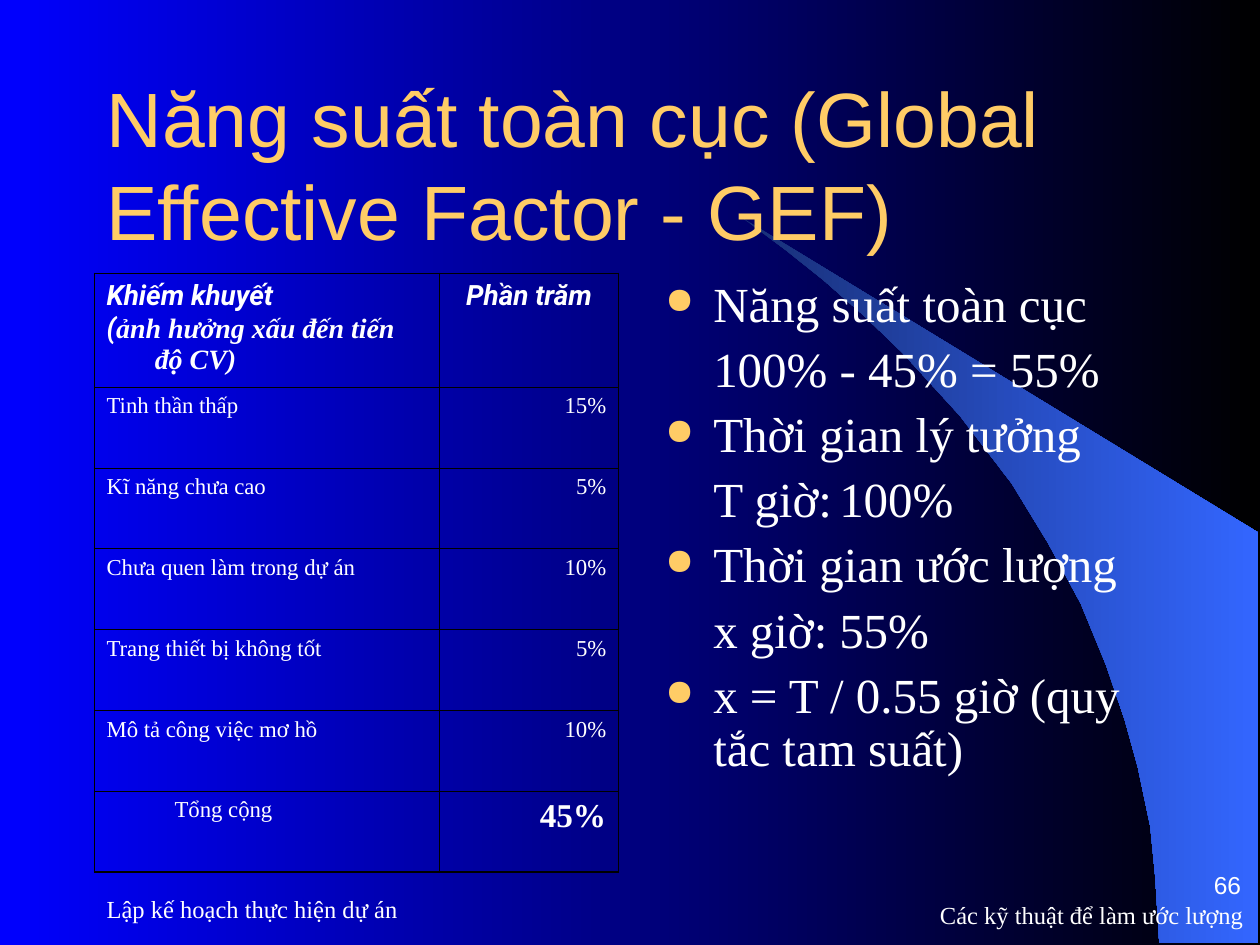
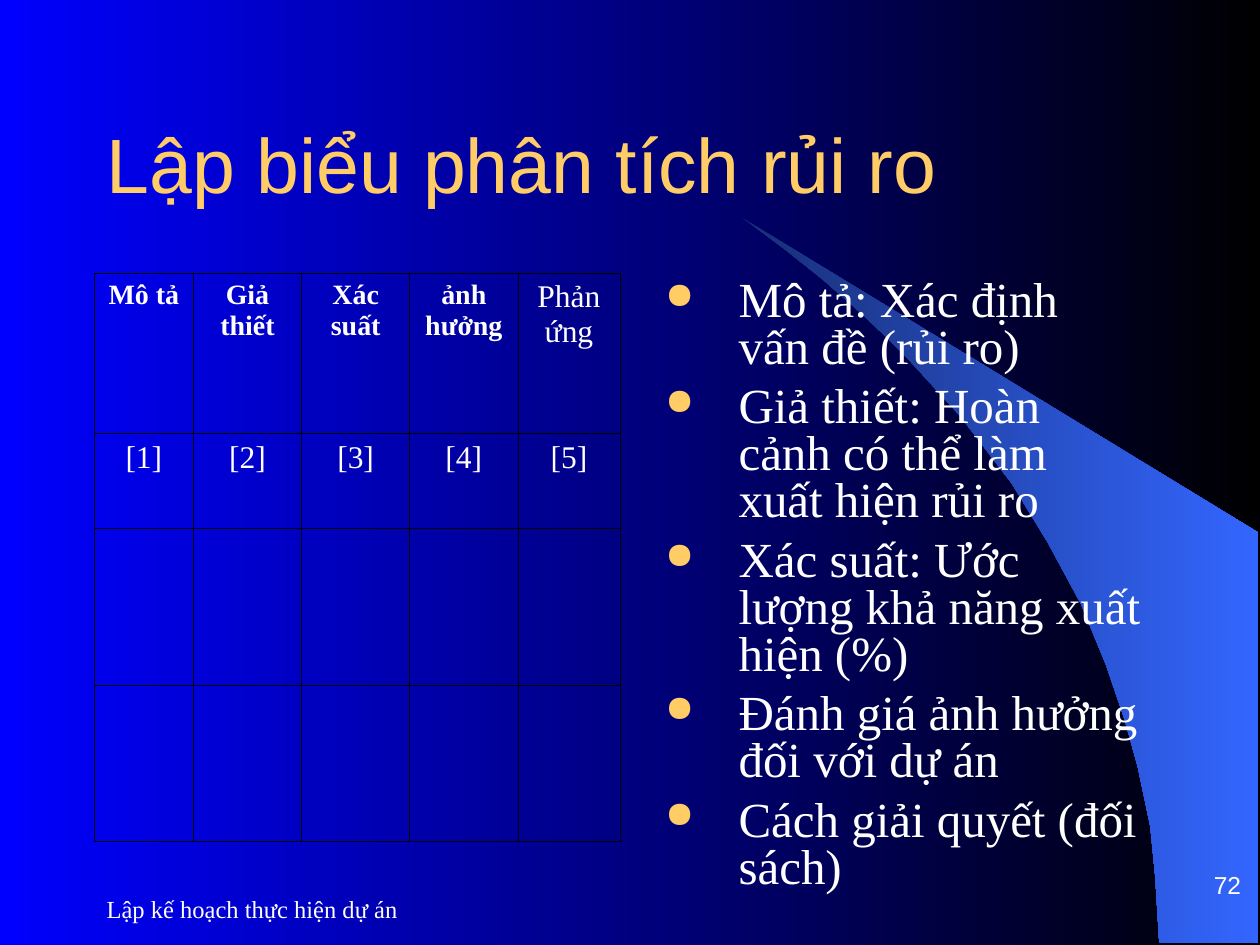
from dataclasses import dataclass
from typing import NamedTuple

from lxml import etree
from pptx import Presentation
from pptx.dml import color
from pptx.enum import text
from pptx.oxml import ns
from pptx.util import Cm, Pt

RGBColor = color.RGBColor
BLUE = RGBColor(0x00, 0x00, 0xFF)
BLACK = RGBColor(0x00, 0x00, 0x00)
NAVY = RGBColor(0x18, 0x2F, 0x76)
AZURE = RGBColor(0x33, 0x66, 0xFF)
GOLD = RGBColor(0xFF, 0xCC, 0x66)
WHITE = RGBColor(0xFF, 0xFF, 0xFF)

SERIF, SANS, HEADER_FONT = "Times New Roman", "Arial", "Roboto"
LEFT, CENTER, RIGHT = text.PP_ALIGN.LEFT, text.PP_ALIGN.CENTER, text.PP_ALIGN.RIGHT
TOP, MIDDLE, BOTTOM = text.MSO_ANCHOR.TOP, text.MSO_ANCHOR.MIDDLE, text.MSO_ANCHOR.BOTTOM
THIN, THICK = Pt(0.45), Pt(0.96)
HANG = 0.97

SWOOSH = [
    (23.37, 19.0), (25.37, 19.02), (25.37, 10.74), (14.96, 4.39), (15.85, 5.05), (16.59, 5.64),
    (17.4, 6.35), (18.19, 7.11), (19.35, 8.38), (20.4, 9.75), (21.13, 10.95), (21.79, 12.17),
    (22.3, 13.41), (22.68, 14.53), (22.94, 15.47), (23.19, 16.66), (23.29, 17.68),
]


class Run(NamedTuple):
    text: str
    size: float = 13
    font: str = SERIF
    bold: bool = False
    italic: bool = False
    color: RGBColor = WHITE


@dataclass(frozen=True)
class Para:
    runs: tuple[Run, ...]
    align: text.PP_ALIGN = LEFT
    left: float = 0
    hang: float = 0
    bullet: bool = False
    tab: float = 0
    spacing: float = 1
    before: float = 0


@dataclass(frozen=True)
class Box:
    left: float
    top: float
    width: float
    height: float
    anchor: text.MSO_ANCHOR = MIDDLE
    inset_x: float = 0.25
    inset_y: float = 0.13


@dataclass(frozen=True)
class Grid:
    cols: tuple[float, ...]
    rows: tuple[float, ...]
    cells: list[list[tuple[Para, ...]]]
    outer: Pt


TITLE = Box(1.9, 1.7, 22.45, 3.18)
FOOTER_LEFT = Box(1.9, 17.68, 11.86, 1.27)
FOOTER_RIGHT = Box(17.7, 17.91, 7.62, 1.07)
PAGE_NUMBER = Box(17.65, 17.07, 7.62, 1.07, BOTTOM, 0.25, 0)
BODY = Box(12.9, 5.51, 10.6, 11.43, TOP, 0.51)


def add_element(parent, tag: str, **attrs: str):
    return etree.SubElement(parent, ns.qn(tag), attrs)


def set_gradient(fill, start: RGBColor, end: RGBColor) -> None:
    fill.gradient()
    fill.gradient_angle = 0
    for stop, rgb in zip(fill.gradient_stops, (start, end)):
        stop.color.rgb = rgb


def write_paras(tf, paras: tuple[Para, ...]) -> None:
    for i, para in enumerate(paras):
        p = tf.paragraphs[0] if i == 0 else tf.add_paragraph()
        pPr = p._p.get_or_add_pPr()
        pPr.set("marL", str(Cm(para.left)))
        pPr.set("indent", str(-Cm(para.hang)))
        if para.bullet:
            add_element(add_element(pPr, "a:buClr"), "a:srgbClr", val=str(GOLD))
            add_element(pPr, "a:buSzPct", val="75000")
            add_element(pPr, "a:buChar", char="●")
        else:
            add_element(pPr, "a:buNone")
        if para.tab:
            add_element(add_element(pPr, "a:tabLst"), "a:tab", pos=str(Cm(para.tab)), algn="l")
        p.alignment = para.align
        p.line_spacing = para.spacing
        p.space_before = Pt(para.before if i else 0)
        for run in para.runs:
            r = p.add_run()
            r.text = run.text
            r.font.name, r.font.size = run.font, Pt(run.size)
            r.font.bold, r.font.italic = run.bold, run.italic
            r.font.color.rgb = run.color


def add_text(slide, box: Box, *paras: Para) -> None:
    sp = slide.shapes.add_textbox(Cm(box.left), Cm(box.top), Cm(box.width), Cm(box.height))
    tf = sp.text_frame
    tf.word_wrap = True
    tf.vertical_anchor = box.anchor
    tf.margin_left = tf.margin_right = Cm(box.inset_x)
    tf.margin_top = tf.margin_bottom = Cm(box.inset_y)
    write_paras(tf, paras)


def add_border(tcPr, tag: str, width: Pt) -> None:
    ln = add_element(tcPr, tag, w=str(width))
    add_element(add_element(ln, "a:solidFill"), "a:srgbClr", val=str(BLACK))


def add_grid(slide, grid: Grid) -> None:
    n_rows, n_cols = len(grid.rows), len(grid.cols)
    tbl = slide.shapes.add_table(
        n_rows, n_cols, Cm(1.9), Cm(5.51), Cm(sum(grid.cols)), Cm(sum(grid.rows))
    ).table
    tbl.first_row = tbl.horz_banding = False
    for col, width in zip(tbl.columns, grid.cols):
        col.width = Cm(width)
    for row, height in zip(tbl.rows, grid.rows):
        row.height = Cm(height)
    for i, row_cells in enumerate(grid.cells):
        for j, paras in enumerate(row_cells):
            cell = tbl.cell(i, j)
            cell.margin_left = cell.margin_right = Cm(0.25)
            cell.margin_top = cell.margin_bottom = Cm(0.13)
            tcPr = cell._tc.get_or_add_tcPr()
            add_border(tcPr, "a:lnL", THIN)
            add_border(tcPr, "a:lnR", THIN)
            add_border(tcPr, "a:lnT", grid.outer if i == 0 else THIN)
            add_border(tcPr, "a:lnB", grid.outer if i == n_rows - 1 else THIN)
            cell.fill.background()
            write_paras(cell.text_frame, paras)


def add_base(prs, title: str, number: str):
    slide = prs.slides.add_slide(prs.slide_layouts[6])
    points = [(Cm(x), Cm(y)) for x, y in SWOOSH]
    builder = slide.shapes.build_freeform(*points[0])
    builder.add_line_segments(points[1:], close=True)
    swoosh = builder.convert_to_shape()
    swoosh.shadow.inherit = False
    set_gradient(swoosh.fill, NAVY, AZURE)
    swoosh.line.fill.background()
    add_text(slide, FOOTER_LEFT, Para((Run("Lập kế hoạch thực hiện dự án", 14),)))
    add_text(slide, PAGE_NUMBER, Para((Run(number, 14, SANS),), RIGHT))
    add_text(slide, TITLE, Para((Run(title, 44, SANS, color=GOLD),)))
    return slide


def body_para(content: str, left: float, spacing: float, bullet: bool = True) -> Para:
    return Para((Run(content, 28),), left=left, hang=left if bullet else 0, bullet=bullet,
                tab=0 if bullet else 2.54, spacing=spacing, before=7)


def centered(content: str, size: float, bold: bool = False) -> tuple[Para, ...]:
    return tuple(Para((Run(line, size, bold=bold),), CENTER) for line in content.split("\n"))


def build_productivity(prs) -> None:
    slide = add_base(prs, "Năng suất toàn cục (Global Effective Factor - GEF)", "66")
    add_text(slide, FOOTER_RIGHT, Para((Run("Các kỹ thuật để làm ước lượng", 14),), RIGHT))
    header = [
        (
            Para((Run("Khiếm khuyết", 16, HEADER_FONT, True, True),)),
            Para((Run("(", 16, HEADER_FONT, True, True),
                  Run("ảnh hưởng xấu đến tiến độ CV)", 16, SERIF, True, True)),
                 left=HANG, hang=HANG),
        ),
        (Para((Run("Phần trăm", 16, HEADER_FONT, True, True),), CENTER),),
    ]
    defects = [
        ("Tinh thần thấp", "15%"),
        ("Kĩ năng chưa cao", "5%"),
        ("Chưa quen làm trong dự án", "10%"),
        ("Trang thiết bị không tốt", "5%"),
        ("Mô tả công việc mơ hồ", "10%"),
    ]
    rows = [[(Para((Run(name),)),), (Para((Run(share),), RIGHT),)] for name, share in defects]
    total = [
        (Para((Run("Tổng cộng"),), left=1.37),),
        (Para((Run("45%", 19, bold=True),), RIGHT),),
    ]
    add_grid(slide, Grid((6.96, 3.61), (2.29,) + (1.63,) * 6, [header, *rows, total], THICK))
    lines = [
        ("Năng suất toàn cục", True),
        ("100% - 45% = 55%", False),
        ("Thời gian lý tưởng", True),
        ("T giờ:\t100%", False),
        ("Thời gian ước lượng", True),
        ("x giờ:\t55%", False),
        ("x = T / 0.55 giờ (quy tắc tam suất)", True),
    ]
    add_text(slide, BODY, *(body_para(line, HANG, 0.9, bullet) for line, bullet in lines))


def build_risks(prs) -> None:
    slide = add_base(prs, "Lập biểu phân tích rủi ro", "72")
    names = ["Mô tả", "Giả\nthiết", "Xác\nsuất", "ảnh\nhưởng"]
    header = [centered(name, 16, True) for name in names] + [centered("Phản\nứng", 18)]
    numbers = [centered(f"[{n}]", 18) for n in range(1, 6)]
    cells = [header, numbers, [()] * 5, [()] * 5]
    add_grid(slide, Grid((2.0, 2.18, 2.18, 2.18, 2.06), (3.23, 1.92, 3.15, 3.15), cells, THIN))
    steps = [
        "Mô tả: Xác định vấn đề (rủi ro)",
        "Giả thiết: Hoàn cảnh có thể làm xuất hiện rủi ro",
        "Xác suất: Ước lượng khả năng xuất hiện (%)",
        "Đánh giá ảnh hưởng đối với dự án",
        "Cách giải quyết (đối sách)",
    ]
    add_text(slide, BODY, *(body_para(step, 1.48, 0.8) for step in steps))


def main() -> None:
    prs = Presentation()
    prs.slide_width, prs.slide_height = Cm(25.4), Cm(19.05)
    set_gradient(prs.slide_master.background.fill, BLUE, BLACK)
    build_productivity(prs)
    build_risks(prs)
    prs.save("out.pptx")


if __name__ == "__main__":
    main()
